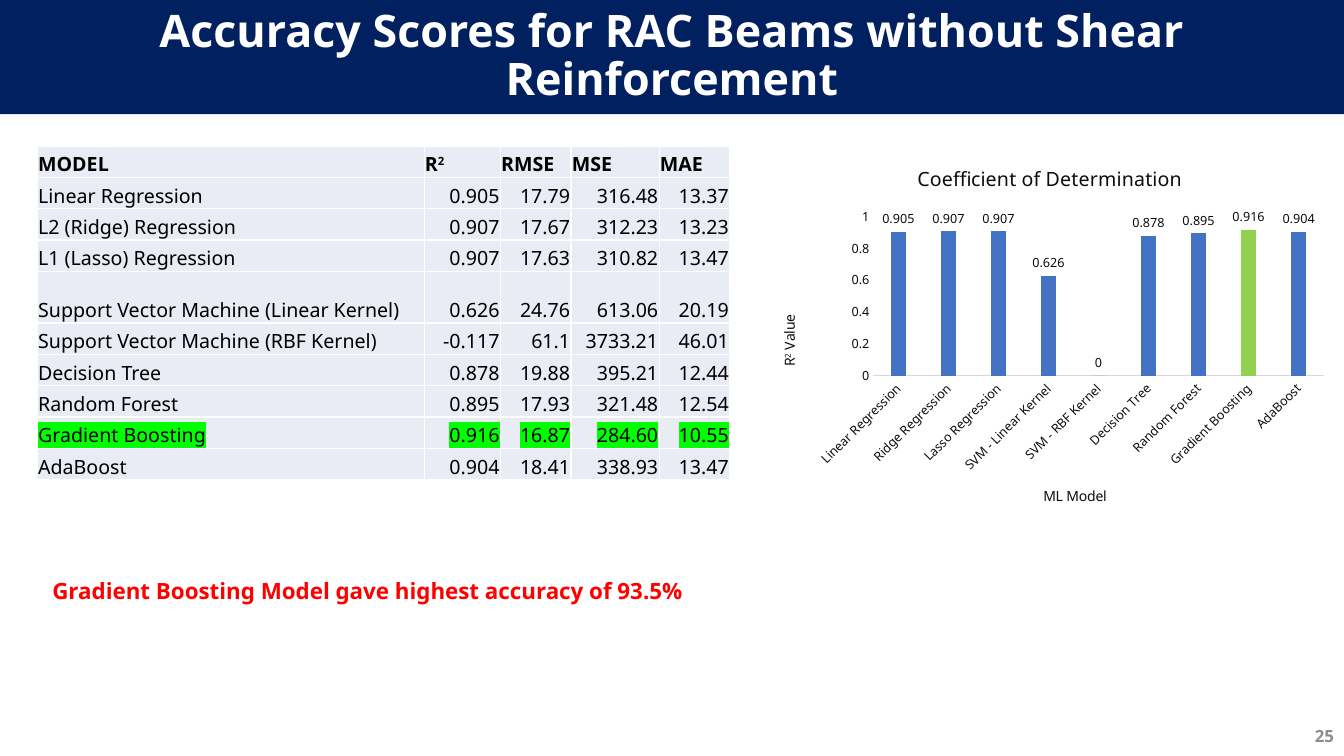
from lxml.etree import SubElement
from pptx import Presentation
from pptx.chart.data import CategoryChartData
from pptx.dml.color import RGBColor
from pptx.enum.chart import XL_CHART_TYPE, XL_LABEL_POSITION, XL_TICK_MARK
from pptx.enum.shapes import MSO_SHAPE
from pptx.enum.text import MSO_ANCHOR, MSO_AUTO_SIZE, PP_ALIGN
from pptx.oxml import parse_xml
from pptx.oxml.ns import nsdecls, qn
from pptx.util import Cm, Pt

FONT = "Noto Sans"
COLORS = {
    "navy": "002060", "white": "FFFFFF", "black": "000000", "red": "FF0000",
    "gray": "8C8C8C", "cell": "E9EBF5", "mark": "00FF00", "ink": "0D0D0D",
    "axis": "D9D9D9", "bar": "4472C4", "best": "92D050",
}
BEST = "Gradient Boosting"
HEADER = ["MODEL", "R²", "RMSE", "MSE", "MAE"]
SCORES = [
    ["Linear Regression", "0.905", "17.79", "316.48", "13.37"],
    ["L2 (Ridge) Regression", "0.907", "17.67", "312.23", "13.23"],
    ["L1 (Lasso) Regression", "0.907", "17.63", "310.82", "13.47"],
    ["Support Vector Machine (Linear Kernel)", "0.626", "24.76", "613.06", "20.19"],
    ["Support Vector Machine (RBF Kernel)", "-0.117", "61.1", "3733.21", "46.01"],
    ["Decision Tree", "0.878", "19.88", "395.21", "12.44"],
    ["Random Forest", "0.895", "17.93", "321.48", "12.54"],
    [BEST, "0.916", "16.87", "284.60", "10.55"],
    ["AdaBoost", "0.904", "18.41", "338.93", "13.47"],
]
COL_WIDTHS = [9.75, 1.92, 1.78, 2.22, 1.78]
R2_VALUES = {
    "Linear Regression": 0.905, "Ridge Regression": 0.907,
    "Lasso Regression": 0.907, "SVM - Linear Kernel": 0.626,
    "SVM - RBF Kernel": 0, "Decision Tree": 0.878, "Random Forest": 0.895,
    BEST: 0.916, "AdaBoost": 0.904,
}


def rgb(name):
    """Return the named colour."""
    return RGBColor.from_string(COLORS[name])


def set_attrs(obj, values):
    """Set each attribute of obj from a dict."""
    for name, value in values.items():
        setattr(obj, name, value)


def set_font(font, size, color, bold=False):
    """Format a font."""
    set_attrs(font, {"size": Pt(size), "name": FONT, "bold": bold})
    font.color.rgb = rgb(color)


def add_runs(p, text, size, color, bold=False):
    """Write text into a paragraph, with ² as a superscript run."""
    base, power, rest = text.partition("²")
    for part, raised in ((base, False), ("2" if power else "", True), (rest, False)):
        if part:
            r = p.add_run()
            r.text = part
            set_font(r.font, size, color, bold)
            if raised:
                r._r.get_or_add_rPr().set("baseline", "30000")


def add_text(slide, box, text, size, color, frame, align=PP_ALIGN.LEFT):
    """Add a bold one-paragraph text box."""
    tf = slide.shapes.add_textbox(*map(Cm, box)).text_frame
    set_attrs(tf, frame)
    p = tf.paragraphs[0]
    p.alignment = align
    add_runs(p, text, size, color, True)


def add_banner(slide, text):
    """Add the title band across the top."""
    s = slide.shapes.add_shape(MSO_SHAPE.RECTANGLE, 0, 0, Cm(33.87), Cm(2.88))
    s.shadow.inherit = False
    s.fill.solid()
    s.fill.fore_color.rgb = rgb("navy")
    s.line.fill.background()
    set_attrs(s.text_frame, {"word_wrap": True, "vertical_anchor": MSO_ANCHOR.MIDDLE})
    p = s.text_frame.paragraphs[0]
    set_attrs(p, {"alignment": PP_ALIGN.CENTER, "line_spacing": 0.9})
    add_runs(p, text, 32, "white", True)


def add_borders(cell):
    """Draw white borders around a cell."""
    for i, side in enumerate(("lnL", "lnR", "lnT", "lnB")):
        cell._tc.get_or_add_tcPr().insert(i, parse_xml(
            f'<a:{side} {nsdecls("a")} w="12700"><a:solidFill>'
            f'<a:srgbClr val="{COLORS["white"]}"/></a:solidFill></a:{side}>'))


def highlight(r):
    """Mark a run with the highlight colour."""
    mark = parse_xml(f'<a:highlight {nsdecls("a")}>'
                     f'<a:srgbClr val="{COLORS["mark"]}"/></a:highlight>')
    r._r.get_or_add_rPr().find(qn("a:latin")).addprevious(mark)


def fill_cell(cell, text, bold, right, marked):
    """Write and format one table cell."""
    set_attrs(cell, {"margin_left": Cm(0.02), "margin_right": Cm(0.02),
                     "margin_top": Cm(0.02), "margin_bottom": 0,
                     "vertical_anchor": MSO_ANCHOR.BOTTOM})
    cell.fill.solid()
    cell.fill.fore_color.rgb = rgb("cell")
    add_borders(cell)
    p = cell.text_frame.paragraphs[0]
    p.alignment = PP_ALIGN.RIGHT if right else PP_ALIGN.LEFT
    add_runs(p, text, 14, "black", bold)
    if marked:
        highlight(p.runs[0])


def add_scores(slide):
    """Add the table of scores."""
    rows = [HEADER] + SCORES
    table = slide.shapes.add_table(len(rows), len(HEADER), Cm(0.94), Cm(3.68),
                                   Cm(sum(COL_WIDTHS)), Cm(8.41)).table
    for col, width in zip(table.columns, COL_WIDTHS):
        col.width = Cm(width)
    for i, values in enumerate(rows):
        table.rows[i].height = Cm(1.3 if "(Linear Kernel)" in values[0] else 0.79)
        for j, text in enumerate(values):
            fill_cell(table.cell(i, j), text, i == 0, i > 0 and j > 0,
                      values[0] == BEST)


def place(parent, sizes):
    """Give a chart part a manual layout, in fractions of the chart."""
    for old in parent.findall(qn("c:layout")):
        parent.remove(old)
    layout = parse_xml(f'<c:layout {nsdecls("c")}><c:manualLayout/></c:layout>')
    for tag, value in sizes.items():
        SubElement(layout[0], qn(f"c:{tag}")).set("val", str(value))
    tx = parent.find(qn("c:tx"))
    if tx is None:
        parent.insert(0, layout)
    else:
        tx.addnext(layout)


def add_chart_title(owner, text, size, x, y):
    """Title a chart or an axis at a given place."""
    owner.has_title = True
    title = owner.chart_title if hasattr(owner, "chart_title") else owner.axis_title
    add_runs(title.text_frame.paragraphs[0], text, size, "ink")
    place(title._element, {"xMode": "edge", "yMode": "edge", "x": x, "y": y})


def add_r2_chart(slide):
    """Add the column chart of R² values."""
    data = CategoryChartData()
    data.categories = list(R2_VALUES)
    data.add_series("Series 1", list(R2_VALUES.values()))
    chart = slide.shapes.add_chart(XL_CHART_TYPE.COLUMN_CLUSTERED, Cm(19.1), Cm(3.73),
                                   Cm(14.55), Cm(9.58), data).chart
    chart.has_legend = False
    set_font(chart.font, 10, "ink")
    cat, val = chart.category_axis, chart.value_axis
    for axis in (cat, val):
        set_attrs(axis, {"major_tick_mark": XL_TICK_MARK.NONE,
                         "minor_tick_mark": XL_TICK_MARK.NONE,
                         "has_major_gridlines": False})
        set_font(axis.tick_labels.font, 9, "ink")
    set_attrs(val, {"minimum_scale": 0, "maximum_scale": 1, "major_unit": 0.2})
    val.format.line.fill.background()
    cat.format.line.color.rgb = rgb("axis")
    cat.format.line.width = Pt(0.75)
    cat._element.find(qn("c:txPr")).find(qn("a:bodyPr")).set("rot", "-2700000")
    add_chart_title(chart, "Coefficient of Determination", 14, 0.27, 0.03)
    add_chart_title(cat, "ML Model", 10, 0.49, 0.88)
    add_chart_title(val, "R² Value", 10, 0.03, 0.43)
    plot = chart.plots[0]
    set_attrs(plot, {"gap_width": 219, "overlap": -27, "vary_by_categories": False})
    place(plot._element.getparent(), {"layoutTarget": "inner", "xMode": "edge",
                                      "yMode": "edge", "x": 0.2, "y": 0.18,
                                      "w": 0.78, "h": 0.42})
    series = plot.series[0]
    best = series.points[list(R2_VALUES).index(BEST)]
    for part, color in ((series, "bar"), (best, "best")):
        part.format.fill.solid()
        part.format.fill.fore_color.rgb = rgb(color)
    labels = series.data_labels
    set_attrs(labels, {"show_value": True, "position": XL_LABEL_POSITION.OUTSIDE_END})
    set_font(labels.font, 9, "ink")


def main():
    """Build the slide."""
    prs = Presentation()
    set_attrs(prs, {"slide_width": Cm(33.87), "slide_height": Cm(19.05)})
    slide = prs.slides.add_slide(prs.slide_layouts[6])
    add_text(slide, (1.07, 14.42, 16.68, 0.94),
             "Gradient Boosting Model gave highest accuracy of 93.5%", 16, "red",
             {"word_wrap": False, "auto_size": MSO_AUTO_SIZE.SHAPE_TO_FIT_TEXT})
    add_scores(slide)
    add_r2_chart(slide)
    add_text(slide, (26.25, 18.03, 7.62, 1.02), "25", 12, "gray",
             {"word_wrap": True, "vertical_anchor": MSO_ANCHOR.MIDDLE}, PP_ALIGN.RIGHT)
    add_banner(slide, "Accuracy Scores for RAC Beams without Shear Reinforcement")
    prs.save("out.pptx")


if __name__ == "__main__":
    main()
